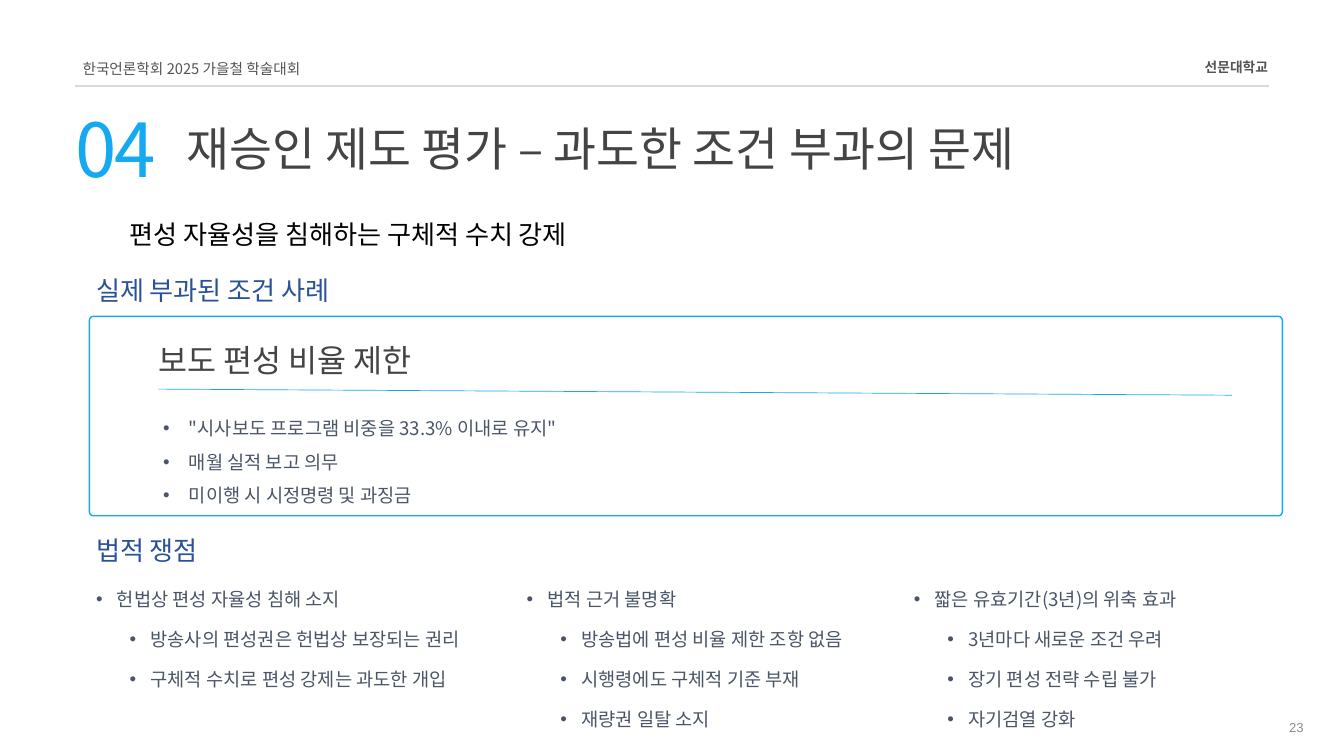
import pptx
import pptx.dml.color
import pptx.enum.shapes
import pptx.enum.text
import pptx.oxml.ns
import pptx.util
from lxml import etree

Cm, Pt = pptx.util.Cm, pptx.util.Pt
RGBColor = pptx.dml.color.RGBColor
PP_ALIGN = pptx.enum.text.PP_ALIGN
ANCHOR = pptx.enum.text.MSO_ANCHOR
qn = pptx.oxml.ns.qn

SKY = RGBColor(0x15, 0xA9, 0xF1)
NAVY = RGBColor(0x2A, 0x52, 0x98)
CHARCOAL = RGBColor(0x45, 0x44, 0x44)
HEADER_GRAY = RGBColor(0x54, 0x54, 0x54)
SLATE = RGBColor(0x4A, 0x55, 0x68)
PAGE_GRAY = RGBColor(0x8C, 0x8C, 0x8C)
RULE_GRAY = RGBColor(0xD9, 0xD9, 0xD9)
BLACK = RGBColor(0, 0, 0)
KOREAN_FONT = "Noto Sans CJK KR"


def add_run(paragraph, text, size, color, font=KOREAN_FONT):
    run = paragraph.add_run()
    run.text = text
    run.font.size = Pt(size)
    run.font.color.rgb = color
    run.font.name = font
    etree.SubElement(run.font._element, qn("a:ea")).set("typeface", font)
    return run


def prepare_frame(shape, inset=True):
    frame = shape.text_frame
    frame.word_wrap = True
    frame.auto_size = pptx.enum.text.MSO_AUTO_SIZE.NONE
    frame.vertical_anchor = ANCHOR.TOP
    if not inset:
        frame.margin_left = frame.margin_right = 0
        frame.margin_top = frame.margin_bottom = 0
    return frame


deck = pptx.Presentation()
deck.slide_width, deck.slide_height = Cm(50.8), Cm(28.58)
slide = deck.slides.add_slide(deck.slide_layouts[5])
shapes = slide.shapes

# Title
title = shapes.title
title.left, title.top, title.width, title.height = Cm(7.04), Cm(4.52), Cm(39.52), Cm(2.13)
title_paragraph = prepare_frame(title, inset=False).paragraphs[0]
title_paragraph.alignment = PP_ALIGN.LEFT
add_run(title_paragraph, "재승인 제도 평가 – 과도한 조건 부과의 문제", 50, CHARCOAL)

# Outline of the condition card
card = shapes.add_shape(pptx.enum.shapes.MSO_SHAPE.ROUNDED_RECTANGLE,
                        Cm(3.38), Cm(11.96), Cm(45.09), Cm(7.54))
card.shadow.inherit = False
card.adjustments[0] = 0.02
card.fill.background()
card.line.color.rgb = SKY
card.line.width = Pt(1.5)

# Rules under the header and under the card title
for x1, y1, x2, y2, color, width in [
    (2.84, 3.25, 47.96, 3.25, RULE_GRAY, 1.5),
    (5.99, 14.71, 46.56, 14.94, SKY, 0.75),
]:
    rule = shapes.add_connector(pptx.enum.shapes.MSO_CONNECTOR.STRAIGHT,
                                Cm(x1), Cm(y1), Cm(x2), Cm(y2))
    rule.line.color.rgb = color
    rule.line.width = Pt(width)
    etree.SubElement(rule._element.spPr, qn("a:effectLst"))

# Section number, header and card title: tight boxes with exact line spacing
for text, x, y, w, h, size, color, leading, align, bold, tracking in [
    ("04", 2.84, 3.89, 4.17, 3.15, 79.8, SKY, 95.8, PP_ALIGN.LEFT, False, -240),
    ("한국언론학회 2025 가을철 학술대회", 3.12, 2.26, 9.14, 0.61, 15.7, HEADER_GRAY, 18.9,
     PP_ALIGN.LEFT, False, 0),
    ("선문대학교", 42.04, 2.21, 5.89, 0.58, 14.7, HEADER_GRAY, 17.7, PP_ALIGN.RIGHT, True, 0),
    ("보도 편성 비율 제한", 5.99, 12.9, 18.14, 1.35, 33.8, CHARCOAL, 40.5,
     PP_ALIGN.LEFT, False, 0),
]:
    label = shapes.add_textbox(Cm(x), Cm(y), Cm(w), Cm(h))
    paragraph = prepare_frame(label, inset=False).paragraphs[0]
    paragraph.alignment = align
    paragraph.line_spacing = Pt(leading)
    run = add_run(paragraph, text, size, color)
    run.font.bold = bold
    if tracking:
        run.font._element.set("spc", str(tracking))

# Subtitle and section headings
for text, x, y, w, color in [
    ("편성 자율성을 침해하는 구체적 수치 강제", 4.65, 8.13, 37.41, BLACK),
    ("실제 부과된 조건 사례", 3.38, 10.26, 25.4, NAVY),
    ("법적 쟁점", 3.38, 20.09, 25.4, NAVY),
]:
    heading = shapes.add_textbox(Cm(x), Cm(y), Cm(w), Cm(1.45))
    add_run(prepare_frame(heading).paragraphs[0], text, 28, color)

# Bulleted lists: the card's conditions, then the three legal issues
conditions = ["\"시사보도 프로그램 비중을 33.3% 이내로 유지\"", "매월 실적 보고 의무",
              "미이행 시 시정명령 및 과징금"]
constitution = ["헌법상 편성 자율성 침해 소지", "방송사의 편성권은 헌법상 보장되는 권리",
                "구체적 수치로 편성 강제는 과도한 개입"]
legal_basis = ["법적 근거 불명확", "방송법에 편성 비율 제한 조항 없음",
               "시행령에도 구체적 기준 부재", "재량권 일탈 소지"]
short_term = ["짧은 유효기간(3년)의 위축 효과", "3년마다 새로운 조건 우려",
              "장기 편성 전략 수립 불가", "자기검열 강화"]
for items, x, y, w, h, nested in [
    (conditions, 5.92, 15.21, 20.85, 3.94, False),
    (constitution, 3.38, 22.1, 14.4, 4.17, True),
    (legal_basis, 19.66, 22.1, 17.58, 5.72, True),
    (short_term, 34.29, 22.1, 15.44, 5.72, True),
]:
    frame = prepare_frame(shapes.add_textbox(Cm(x), Cm(y), Cm(w), Cm(h)))
    hanging = 0.79 if nested else 0.97
    for index, item in enumerate(items):
        paragraph = frame.add_paragraph() if index else frame.paragraphs[0]
        level = 1 if nested and index else 0
        properties = paragraph._p.get_or_add_pPr()
        properties.set("marL", str(Cm(hanging + 1.27 * level)))
        properties.set("indent", str(-Cm(hanging)))
        etree.SubElement(properties, qn("a:buFont")).set("typeface", "Arial")
        etree.SubElement(properties, qn("a:buChar")).set("char", "•")
        paragraph.level = level
        if nested:
            paragraph.space_after = Pt(18.8)
        else:
            paragraph.line_spacing = 1.5
        add_run(paragraph, item, 20, SLATE)

# Page number
page_number = shapes.add_textbox(Cm(43.61), Cm(26.97), Cm(5.92), Cm(1.02))
page_frame = prepare_frame(page_number)
page_frame.vertical_anchor = ANCHOR.MIDDLE
page_frame.paragraphs[0].alignment = PP_ALIGN.RIGHT
add_run(page_frame.paragraphs[0], "23", 14, PAGE_GRAY, "Arial")

deck.save("out.pptx")
